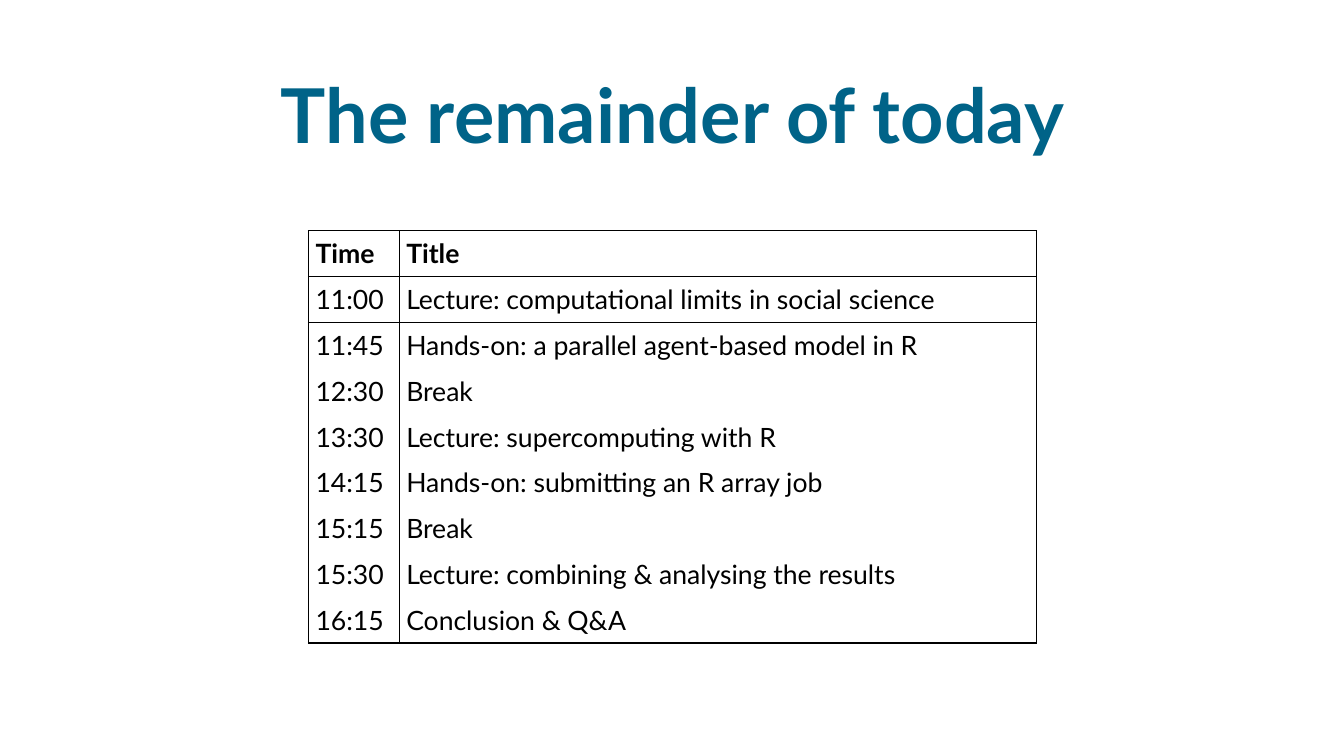
"""Build the slide with the timetable for the remainder of the day."""
from lxml import etree
from pptx import Presentation
from pptx.dml.color import RGBColor
from pptx.enum.text import MSO_ANCHOR, PP_ALIGN
from pptx.oxml.ns import qn
from pptx.util import Inches, Pt

MIDDLE = MSO_ANCHOR.MIDDLE
LEFT, CENTER = PP_ALIGN.LEFT, PP_ALIGN.CENTER

TITLE = "The remainder of today"
SCHEDULE = [
    ("Time", "Title"),
    ("11:00", "Lecture: computational limits in social science"),
    ("11:45", "Hands-on: a parallel agent-based model in R"),
    ("12:30", "Break"),
    ("13:30", "Lecture: supercomputing with R"),
    ("14:15", "Hands-on: submitting an R array job"),
    ("15:15", "Break"),
    ("15:30", "Lecture: combining & analysing the results"),
    ("16:15", "Conclusion & Q&A"),
]
FONT, TEAL, BLACK = "Lato", "006388", "000000"
COL_WIDTHS = (0.9, 6.32)
TABLE_LEFT, TABLE_TOP, TABLE_HEIGHT = 3.06, 2.29, 4.09
NO_STYLE = "{2D5ABB26-0587-4C30-8999-92F81FD0307C}"


def rgb(color):
    return RGBColor.from_string(color)


def write(tf, text, size, color, bold, align):
    tf.text = text
    tf.vertical_anchor = MIDDLE
    p = tf.paragraphs[0]
    p.alignment = align
    font = p.runs[0].font
    font.name, font.size, font.bold = FONT, Pt(size), bold
    font.color.rgb = rgb(color)


def add_borders(cell, sides):
    tc_pr = cell._tc.get_or_add_tcPr()
    for side in sides:
        ln = etree.SubElement(tc_pr, qn(f"a:ln{side}"), w=str(Pt(1)))
        fill = etree.SubElement(ln, qn("a:solidFill"))
        etree.SubElement(fill, qn("a:srgbClr"), val=BLACK)


def add_title(s):
    sp = s.shapes.title
    sp.left, sp.top = Inches(0.92), Inches(0.4)
    sp.width, sp.height = Inches(11.5), Inches(1.45)
    write(sp.text_frame, TITLE, 54, TEAL, True, CENTER)


def add_schedule(s):
    last = len(SCHEDULE) - 1
    frame = s.shapes.add_table(
        len(SCHEDULE), len(COL_WIDTHS), Inches(TABLE_LEFT), Inches(TABLE_TOP),
        Inches(sum(COL_WIDTHS)), Inches(TABLE_HEIGHT))
    table = frame.table
    table.first_row = table.horz_banding = False
    table._tbl.tblPr.find(qn("a:tableStyleId")).text = NO_STYLE
    for column, width in zip(table.columns, COL_WIDTHS):
        column.width = Inches(width)
    for i, entry in enumerate(SCHEDULE):
        table.rows[i].height = Inches(TABLE_HEIGHT / len(SCHEDULE))
        sides = "LR" + ("T" if i < 2 else "") + ("B" if i in (0, last) else "")
        for j, text in enumerate(entry):
            cell = table.cell(i, j)
            cell.margin_left = cell.margin_right = Inches(0.07)
            cell.margin_top = cell.margin_bottom = Inches(0.03)
            write(cell.text_frame, text, 19, BLACK, i == 0, LEFT)
            cell.vertical_anchor = MIDDLE
            add_borders(cell, sides)
            cell.fill.background()


def main():
    prs = Presentation()
    prs.slide_width, prs.slide_height = Inches(13.33), Inches(7.5)
    s = prs.slides.add_slide(prs.slide_layouts[5])
    add_title(s)
    add_schedule(s)
    prs.save("out.pptx")


if __name__ == "__main__":
    main()
